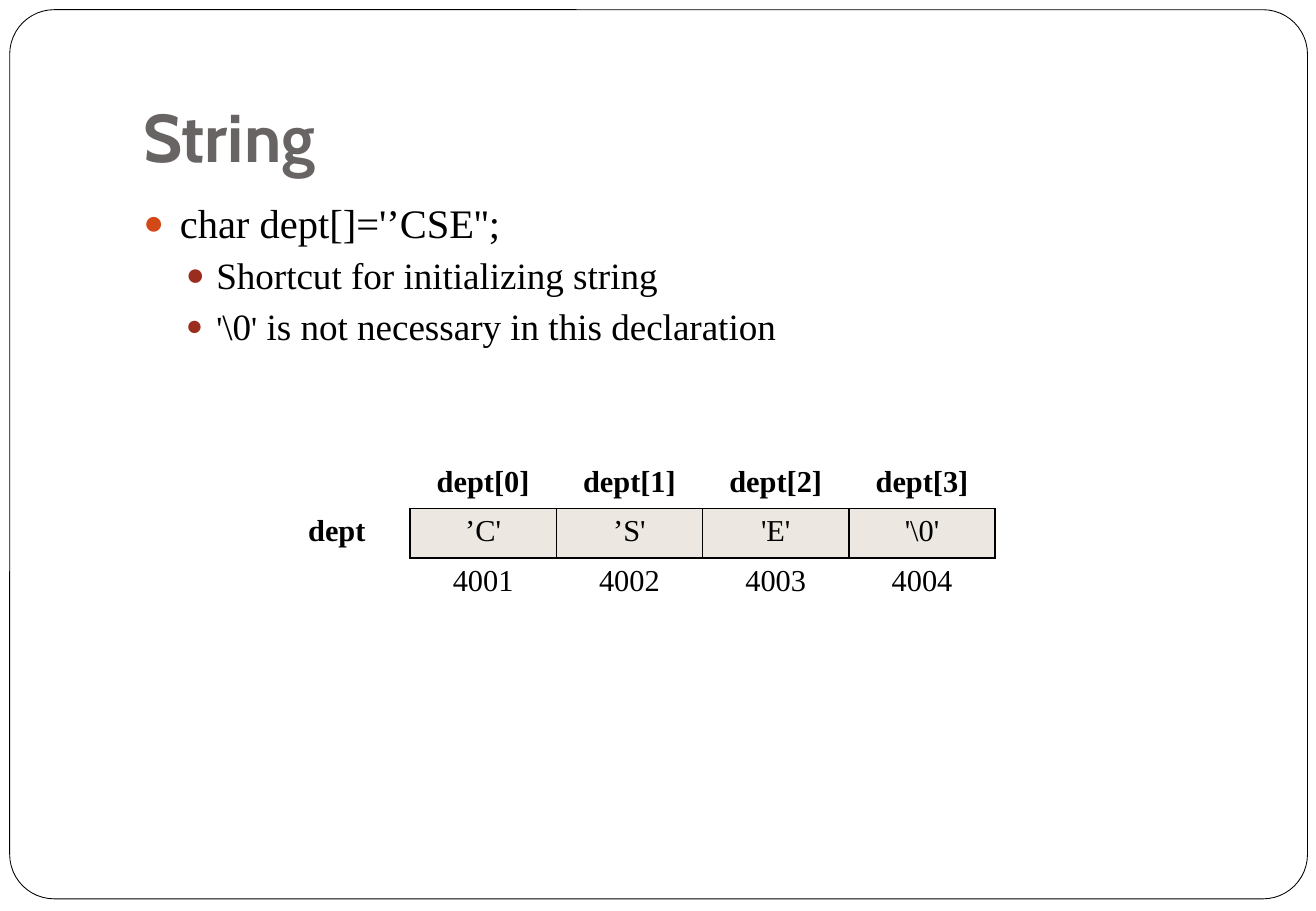
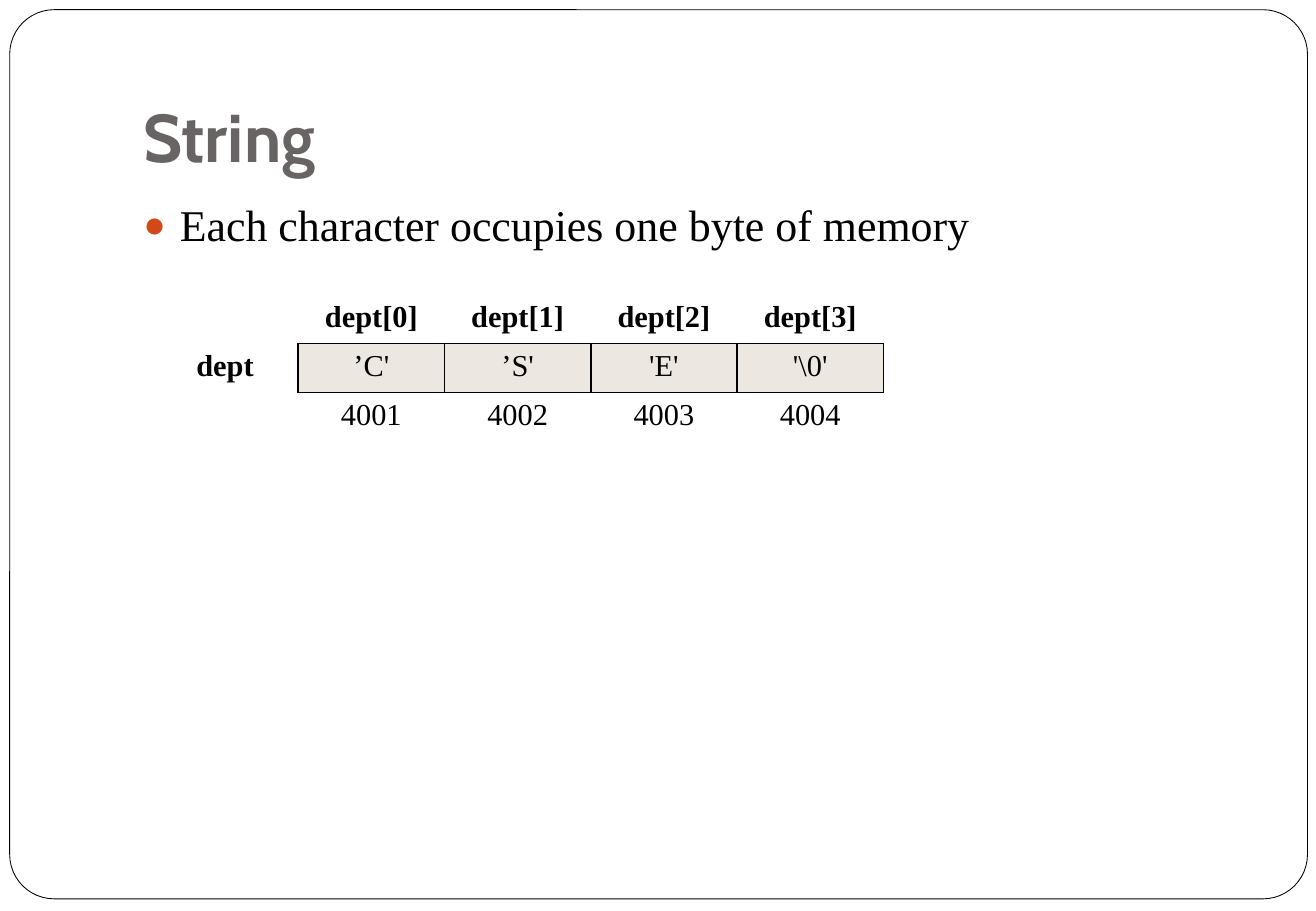
from lxml.etree import SubElement
from pptx import Presentation
from pptx.dml.color import RGBColor
from pptx.enum.shapes import MSO_SHAPE
from pptx.enum.text import MSO_ANCHOR, MSO_AUTO_SIZE, PP_ALIGN
from pptx.oxml.ns import qn
from pptx.util import Inches, Pt

BLACK, WHITE, TITLE_GRAY, CELL_TAN = "000000", "FFFFFF", "696464", "A28E6A"
TITLE_FONT, BODY_FONT = "Cabin", "Times New Roman"
# Per list level: left indent, hanging indent, space before, bullet colour
LEVELS = [(0.3, 0.3, 5.8, "D34817"), (0.6, 0.25, 3.7, "9B2D1F")]
MEMORY = [
    ["", "dept[0]", "dept[1]", "dept[2]", "dept[3]"],
    ["dept", "’C'", "’S'", "'E'", "'\\0'"],
    ["", "4001", "4002", "4003", "4004"],
]


def rgb(value):
    """Turn a hex string into a colour."""
    return RGBColor.from_string(value)


def style(font, name, size, color, bold=False):
    """Set the usual properties of a font."""
    font.name, font.size, font.bold = name, Pt(size), bold
    font.color.rgb = rgb(color)


def place(shape, left, top, width, height):
    """Move and size a shape, in inches."""
    shape.left, shape.top = Inches(left), Inches(top)
    shape.width, shape.height = Inches(width), Inches(height)


def prepare_layout(layout):
    """Set the positions of the title and body for all slides."""
    title, body = layout.placeholders[0], layout.placeholders[1]
    place(title, 1.08, 0.3, 9.21, 1.25)
    place(body, 1.08, 1.58, 9.21, 5)


def add_frame(slide):
    """Draw the rounded page frame and move it to the slide's layout."""
    frame = slide.shapes.add_shape(
        MSO_SHAPE.ROUNDED_RECTANGLE,
        Inches(0.08), Inches(0.08), Inches(10.68), Inches(7.32))
    frame.adjustments[0] = 0.05
    frame.shadow.inherit = False
    frame.fill.solid()
    frame.fill.fore_color.rgb = rgb(WHITE)
    frame.line.color.rgb = rgb(BLACK)
    frame.line.width = Pt(0.5)
    slide.slide_layout.shapes.element.insert(2, frame.element)


def add_title(slide, text):
    """Fill the title placeholder."""
    frame = slide.shapes.title.text_frame
    frame.text = text
    frame.vertical_anchor = MSO_ANCHOR.BOTTOM
    frame.margin_bottom = Inches(0.1)
    frame.auto_size = MSO_AUTO_SIZE.NONE
    heading = frame.paragraphs[0]
    heading.alignment = PP_ALIGN.LEFT
    style(heading.font, TITLE_FONT, 40, TITLE_GRAY, True)


def set_bullet(paragraph, level):
    """Give a paragraph the indent, spacing and bullet of its level."""
    indent, hanging, space, color = LEVELS[level]
    paragraph.level = level
    paragraph.space_before = Pt(space)
    properties = paragraph._p.get_or_add_pPr()
    properties.set("marL", str(Inches(indent)))
    properties.set("indent", str(-Inches(hanging)))
    bullet_color = SubElement(properties, qn("a:buClr"))
    SubElement(bullet_color, qn("a:srgbClr"), val=color)
    SubElement(properties, qn("a:buSzPct"), val="85000")
    SubElement(properties, qn("a:buChar"), char="●")


def add_list(slide, items):
    """Fill the body with (level, size, [(text, own size or None)]) items."""
    frame = slide.placeholders[1].text_frame
    frame.auto_size = MSO_AUTO_SIZE.NONE
    for index, (level, size, pieces) in enumerate(items):
        paragraph = frame.add_paragraph() if index else frame.paragraphs[0]
        set_bullet(paragraph, level)
        style(paragraph.font, BODY_FONT, size, BLACK)
        for text, own_size in pieces:
            run = paragraph.add_run()
            run.text = text
            if own_size:
                run.font.size = Pt(own_size)


def set_borders(cell, sides):
    """Draw 1 pt borders on the named sides (L, R, T, B), none elsewhere."""
    properties = cell._tc.get_or_add_tcPr()
    for side in "LRTB":
        line = SubElement(properties, qn(f"a:ln{side}"), w=str(Pt(1)))
        if side in sides:
            fill = SubElement(line, qn("a:solidFill"))
            SubElement(fill, qn("a:srgbClr"), val=BLACK)
        else:
            SubElement(line, qn("a:noFill"))


def fill_cell(cell, boxed):
    """Tint a memory box with 20 % tan; leave other cells clear."""
    if not boxed:
        cell.fill.background()
        return
    cell.fill.solid()
    cell.fill.fore_color.rgb = rgb(CELL_TAN)
    tint = cell._tc.tcPr.find(f"{qn('a:solidFill')}/{qn('a:srgbClr')}")
    SubElement(tint, qn("a:alpha"), val="20000")


def borders_for(row, column):
    """Name the sides of a cell that touch a memory box."""
    if column == 0:
        return "R" if row == 1 else ""
    return ("B", "LRTB", "T")[row]


def add_memory_table(slide, left, top):
    """Show the array with its indexes above and addresses below."""
    table = slide.shapes.add_table(
        len(MEMORY), len(MEMORY[0]), Inches(left), Inches(top),
        Inches(6.02), Inches(1.22)).table
    table.first_row = table.horz_banding = False
    for row, texts in enumerate(MEMORY):
        for column, text in enumerate(texts):
            cell = table.cell(row, column)
            set_borders(cell, borders_for(row, column))
            fill_cell(cell, row == 1 and column > 0)
            cell.text = text
            label = cell.text_frame.paragraphs[0]
            label.alignment = PP_ALIGN.CENTER
            style(label.font, BODY_FONT, 18, BLACK, row == 0 or column == 0)


def main():
    """Build and save the slides."""
    deck = Presentation()
    deck.slide_width, deck.slide_height = Inches(10.83), Inches(7.5)
    layout = deck.slide_layouts[1]
    prepare_layout(layout)
    pages = [
        ([(0, 24, [("char dept[]='’CSE'';", None)]),
          (1, 22, [("Shortcut for initializing string", None)]),
          (1, 22, [("'", 20), ("\\0", None), ("'", 20),
                   (" is not necessary in this declaration", None)])],
         (2.17, 3.78)),
        ([(0, 26, [("Each character occupies one byte of memory", None)])],
         (1.25, 2.42)),
    ]
    for items, table_corner in pages:
        slide = deck.slides.add_slide(layout)
        add_title(slide, "String")
        add_list(slide, items)
        add_memory_table(slide, *table_corner)
    add_frame(deck.slides[0])
    deck.save("out.pptx")


main()
